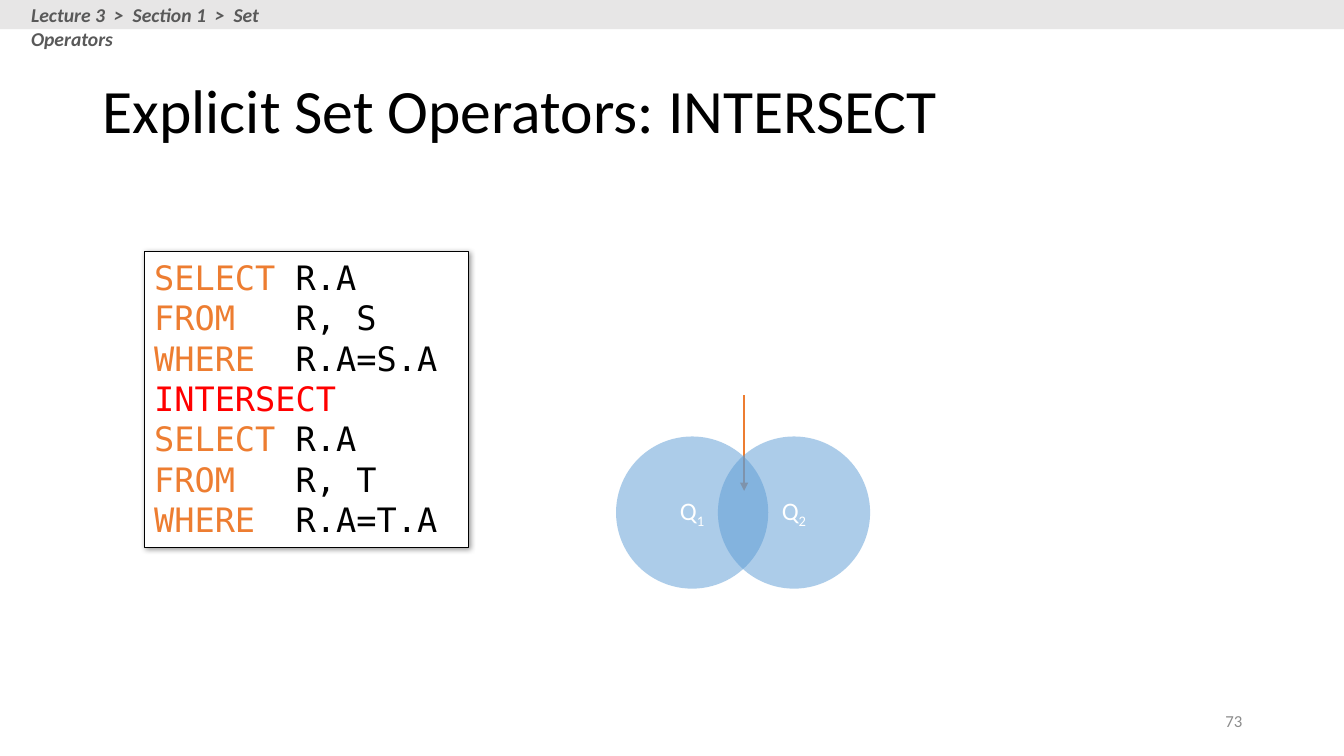
from dataclasses import dataclass

from lxml.etree import SubElement as Sub
from pptx import Presentation
from pptx.dml.color import RGBColor as RGB
from pptx.enum.shapes import MSO_CONNECTOR as Link, MSO_SHAPE as Form
from pptx.enum.text import MSO_ANCHOR as Anchor, PP_ALIGN as Align
from pptx.oxml.ns import qn
from pptx.util import Inches, Pt


@dataclass(frozen=True)
class Theme:
    sans: str = "Calibri"
    mono: str = "DejaVu Sans Mono"
    black: str = "000000"
    white: str = "FFFFFF"
    band: str = "E7E6E6"
    trail: str = "595959"
    page: str = "8C8C8C"
    key: str = "ED7D31"
    alert: str = "FF0000"
    disc: str = "5B9BD5"
    title_size: int = 44
    code_size: int = 24
    disc_size: int = 18
    trail_size: int = 14
    page_size: int = 12


THEME = Theme()
CODE = [
    ("SELECT", " R.A"),
    ("FROM", "   R, S"),
    ("WHERE", "  R.A=S.A"),
    ("INTERSECT", ""),
    ("SELECT", " R.A"),
    ("FROM", "   R, T"),
    ("WHERE", "  R.A=T.A"),
]


def style(para, face, size, color):
    font = para.font
    font.name, font.size = face, Pt(size)
    font.color.rgb = RGB.from_string(color)
    return font


def add_run(para, text, color):
    run = para.add_run()
    run.text = text
    run.font.color.rgb = RGB.from_string(color)
    return run


def add_text(shapes, box, text, size, color, anchor=Anchor.TOP):
    frame = shapes.add_textbox(*map(Inches, box)).text_frame
    frame.word_wrap = True
    frame.vertical_anchor = anchor
    para = frame.paragraphs[0]
    add_run(para, text, color)
    style(para, THEME.sans, size, color)
    return para


def add_form(shapes, kind, box, fill):
    form = shapes.add_shape(kind, *map(Inches, box))
    form.shadow.inherit = False
    form.fill.solid()
    form.fill.fore_color.rgb = RGB.from_string(fill)
    form.line.fill.background()
    return form


def add_shade(form):
    effects = form._element.spPr.find(qn("a:effectLst"))
    shade = Sub(effects, qn("a:outerShdw"), blurRad=str(Pt(4)), dist=str(Pt(1)),
                dir="2700000", algn="tl", rotWithShape="0")
    tint = Sub(shade, qn("a:srgbClr"), val=THEME.black)
    Sub(tint, qn("a:alpha"), val="40000")


def add_code(shapes, box, lines):
    form = add_form(shapes, Form.RECTANGLE, box, THEME.white)
    form.line.color.rgb = RGB.from_string(THEME.black)
    form.line.width = Pt(0.75)
    add_shade(form)
    frame = form.text_frame
    frame.vertical_anchor = Anchor.TOP
    for row, (word, rest) in enumerate(lines):
        para = frame.add_paragraph() if row else frame.paragraphs[0]
        para.alignment = Align.LEFT
        add_run(para, word, THEME.key if rest else THEME.alert)
        if rest:
            add_run(para, rest, THEME.black)
        style(para, THEME.mono, THEME.code_size, THEME.black)


def add_disc(shapes, left, top, side, index):
    disc = add_form(shapes, Form.OVAL, (left, top, side, side), THEME.disc)
    tint = disc._element.spPr.find(qn("a:solidFill"))[0]
    Sub(tint, qn("a:alpha"), val="50000")
    frame = disc.text_frame
    frame.vertical_anchor = Anchor.MIDDLE
    para = frame.paragraphs[0]
    para.alignment = Align.CENTER
    add_run(para, "Q", THEME.white)
    sub = add_run(para, str(index), THEME.white)
    sub._r.get_or_add_rPr().set("baseline", "-25000")
    style(para, THEME.sans, THEME.disc_size, THEME.white)


def add_arrow(shapes, start, end):
    arrow = shapes.add_connector(Link.STRAIGHT, *map(Inches, start + end))
    arrow.line.color.rgb = RGB.from_string(THEME.key)
    arrow.line.width = Pt(1.5)
    Sub(arrow.line._get_or_add_ln(), qn("a:tailEnd"), type="triangle")
    Sub(arrow._element.spPr, qn("a:effectLst"))


def add_head(shapes):
    group = shapes.add_group_shape().shapes
    add_form(group, Form.RECTANGLE, (0, 0, 13.33, 0.29), THEME.band)
    para = add_text(group, (0.21, -0.02, 3.27, 0.34),
                    "Lecture 3  >  Section 1  >  Set Operators",
                    THEME.trail_size, THEME.trail)
    para.font.bold = para.font.italic = True


def add_venn(shapes):
    group = shapes.add_group_shape().shapes
    for index in (1, 2):
        add_disc(group, 5.1 + 1.01 * index, 4.33, 1.51, index)


def main():
    deck = Presentation()
    deck.slide_width, deck.slide_height = Inches(13.33), Inches(7.5)
    shapes = deck.slides.add_slide(deck.slide_layouts[6]).shapes
    title = add_text(shapes, (0.92, 0.4, 11.5, 1.45),
                     "Explicit Set Operators: INTERSECT",
                     THEME.title_size, THEME.black, Anchor.MIDDLE)
    title.line_spacing = 0.9
    page = add_text(shapes, (9.42, 6.95, 3, 0.4), "73",
                    THEME.page_size, THEME.page, Anchor.MIDDLE)
    page.alignment = Align.RIGHT
    add_code(shapes, (1.43, 2.5, 3.22, 2.93), CODE)
    add_head(shapes)
    add_arrow(shapes, (7.38, 3.92), (7.38, 4.87))
    add_venn(shapes)
    deck.save("out.pptx")


if __name__ == "__main__":
    main()
